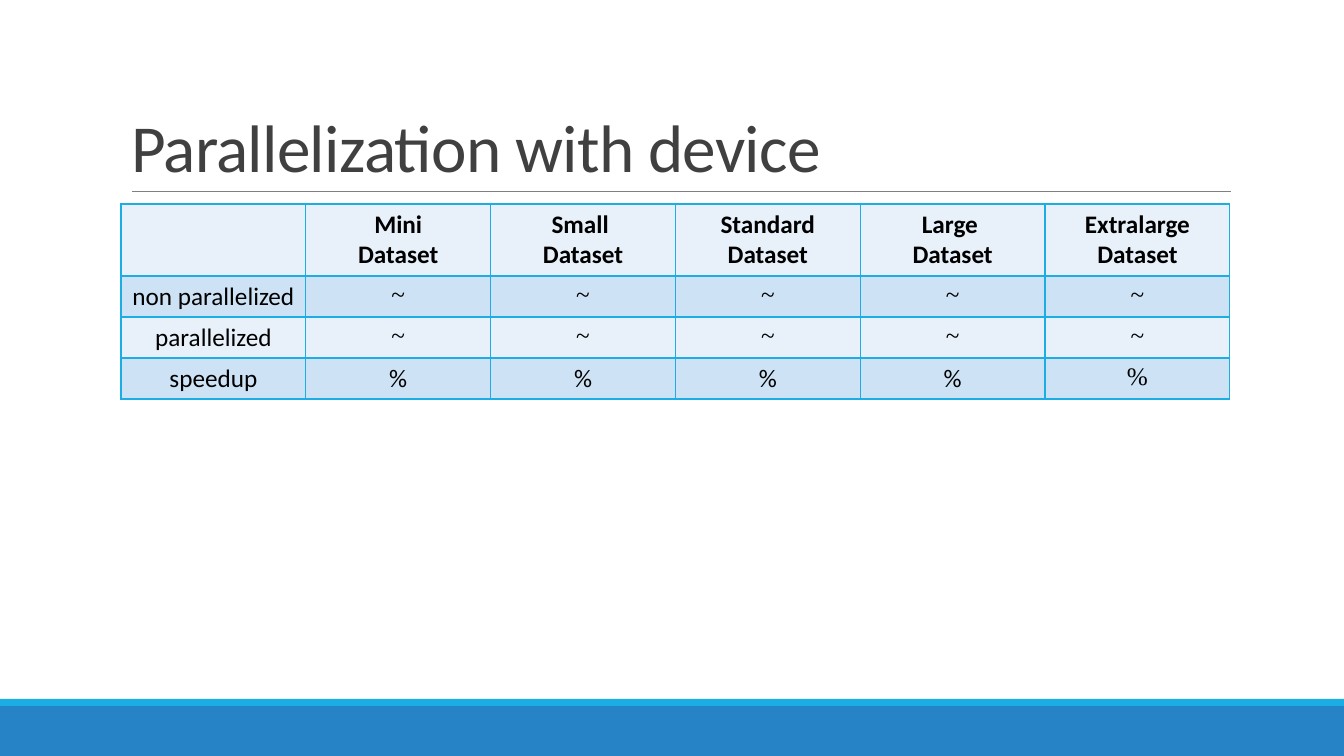
import pptx
import pptx.util
import pptx.dml.color
import pptx.enum.text
import pptx.enum.shapes
import pptx.oxml
import pptx.oxml.ns
from lxml import etree

TITLE = "Parallelization with device"
HEADS = ["", "Mini\nDataset", "Small \nDataset", "Standard Dataset",
         "Large \nDataset", "Extralarge Dataset"]
ROWS = [
    ("non parallelized", ["~"] * 5),
    ("parallelized", ["~"] * 5),
    ("speedup", ["%"] * 5),
]
BANDS = [((0, 706, 1344, 50), "bar"), ((0, 699, 1344, 7), "edge")]
RULE = (132, 191, 1231, 191)
HEAD = (121, 31, 1109, 160)
GRID = (121, 204, 1109)
TALL, LOW = 72, 41
WIDE, HIGH = 1344, 756
THEME = {
    "bar": "2683C6", "edge": "1CADE4", "rule": "808080",
    "title": "404040", "text": "000000",
    "light": "E8F1FA", "dark": "CDE3F5",
    "sans": "Calibri", "serif": "Times New Roman",
    "big": 48, "body": 18,
}
SCALE = 12192000 / WIDE
ALIGN = pptx.enum.text.PP_ALIGN


def px(n):
    return round(n * SCALE)


def rgb(key):
    return pptx.dml.color.RGBColor.from_string(THEME[key])


def paint(fill, key):
    fill.solid()
    fill.fore_color.rgb = rgb(key)


def style(font, size, face, key, bold=False):
    look = {"size": pptx.util.Pt(THEME[size]), "name": THEME[face], "bold": bold}
    for name, value in look.items():
        setattr(font, name, value)
    font.color.rgb = rgb(key)


def border(cell):
    props = cell._tc.get_or_add_tcPr()
    for at, side in enumerate(("lnL", "lnR", "lnT", "lnB")):
        line = pptx.oxml.parse_xml(
            f'<a:{side} {pptx.oxml.ns.nsdecls("a")} w="12700"><a:solidFill>'
            f'<a:srgbClr val="{THEME["edge"]}"/></a:solidFill></a:{side}>')
        props.insert(at, line)


def draw_bands(slide):
    for box, key in BANDS:
        band = slide.shapes.add_shape(
            pptx.enum.shapes.MSO_SHAPE.RECTANGLE, *map(px, box))
        band.shadow.inherit = False
        paint(band.fill, key)
        band.line.fill.background()
    rule = slide.shapes.add_connector(
        pptx.enum.shapes.MSO_CONNECTOR.STRAIGHT, *map(px, RULE))
    rule.line.color.rgb = rgb("rule")
    rule.line.width = pptx.util.Pt(0.5)
    etree.SubElement(rule._element.spPr, pptx.oxml.ns.qn("a:effectLst"))


def draw_title(slide):
    title = slide.shapes.title
    for name, n in zip(("left", "top", "width", "height"), HEAD):
        setattr(title, name, px(n))
    frame = title.text_frame
    frame.text = TITLE
    look = {"vertical_anchor": pptx.enum.text.MSO_ANCHOR.BOTTOM,
            "word_wrap": True, "auto_size": pptx.enum.text.MSO_AUTO_SIZE.NONE}
    for name, value in look.items():
        setattr(frame, name, value)
    para = frame.paragraphs[0]
    para.alignment = ALIGN.LEFT
    para.line_spacing = 0.85
    run = para.runs[0]
    style(run.font, "big", "sans", "title")
    run._r.get_or_add_rPr().set("spc", "-50")


def draw_table(slide):
    lines = [HEADS] + [[name] + marks for name, marks in ROWS]
    left, top, width = GRID
    high = TALL + LOW * len(ROWS)
    table = slide.shapes.add_table(
        len(lines), len(HEADS), *map(px, (left, top, width, high))).table
    table.first_row = table.horz_banding = False
    for col in table.columns:
        col.width = px(width / len(HEADS))
    for r, line in enumerate(lines):
        table.rows[r].height = px(LOW if r else TALL)
        for c, text in enumerate(line):
            cell = table.cell(r, c)
            cell.text = text
            last = r == len(ROWS) and c == len(HEADS) - 1
            face = "serif" if text == "~" or last else "sans"
            for para in cell.text_frame.paragraphs:
                para.alignment = ALIGN.CENTER
                style(para.font, "body", face, "text", r == 0)
                for run in para.runs:
                    style(run.font, "body", face, "text", r == 0)
            paint(cell.fill, "dark" if r % 2 else "light")
            border(cell)


def main():
    deck = pptx.Presentation()
    deck.slide_width, deck.slide_height = px(WIDE), px(HIGH)
    slide = deck.slides.add_slide(deck.slide_layouts[5])
    draw_bands(slide)
    draw_title(slide)
    draw_table(slide)
    deck.save("out.pptx")


if __name__ == "__main__":
    main()
